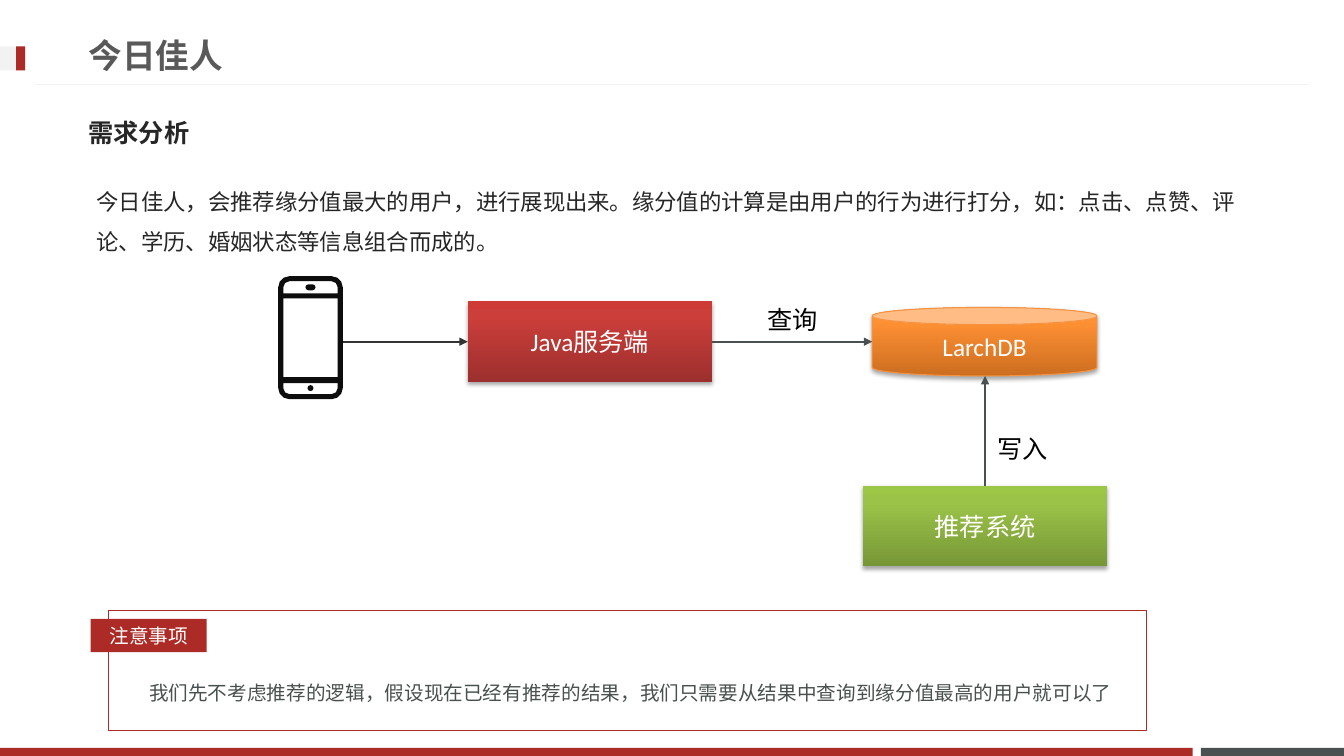
from math import cos, radians, sin
from copy import deepcopy
from lxml.etree import SubElement
from pptx import Presentation
from pptx.dml.color import RGBColor
from pptx.enum.shapes import MSO_CONNECTOR, MSO_SHAPE
from pptx.enum.text import MSO_ANCHOR as Anchor, PP_ALIGN as Align
from pptx.oxml.ns import qn
from pptx.util import Pt

PX = 9144
CJK_FONT = "Noto Sans CJK JP"
RED = RGBColor(0xAD, 0x2B, 0x26)
SLATE = RGBColor(0x49, 0x50, 0x4F)
PALE = RGBColor(0xF2, 0xF2, 0xF2)
GREY = RGBColor(0x59, 0x59, 0x59)
INK = RGBColor(0x26, 0x26, 0x26)
CHARCOAL = RGBColor(0x33, 0x33, 0x33)
NEAR_BLACK = RGBColor(0x0D, 0x0D, 0x0D)
BLACK = RGBColor(0, 0, 0)
WHITE = RGBColor(0xFF, 0xFF, 0xFF)
ORANGE_EDGE = RGBColor(0xF6, 0x92, 0x40)
RED_BLEND = [RGBColor(0x9C, 0x2F, 0x2D), RGBColor(0xCB, 0x3E, 0x3A), RGBColor(0xCE, 0x3B, 0x37)]
ORANGE_BLEND = [RGBColor(0xCC, 0x6E, 0x20), RGBColor(0xFF, 0x90, 0x34), RGBColor(0xFF, 0x91, 0x36)]
GREEN_BLEND = [RGBColor(0x77, 0x97, 0x37), RGBColor(0x9B, 0xC3, 0x48), RGBColor(0x9D, 0xC7, 0x46)]


def emu(*lengths):
    return [round(length * PX) for length in lengths]


def write(shape, text, size, color, font="Calibri", bold=False, align=Align.CENTER,
          anchor=Anchor.MIDDLE, leading=None, right_inset=10):
    frame = shape.text_frame
    frame.word_wrap = True
    frame.vertical_anchor = anchor
    frame.margin_right = right_inset * PX
    paragraph = frame.paragraphs[0]
    paragraph.alignment = align
    if leading:
        paragraph.line_spacing = Pt(leading)
    run = paragraph.add_run()
    run.text = text
    run.font.size = Pt(size)
    run.font.bold = bold
    run.font.color.rgb = color
    run.font.name = font
    east_asian = SubElement(run.font._element, qn("a:ea"))
    east_asian.set("typeface", CJK_FONT)


def text_area(slide, box, text, size, color, **style):
    write(slide.shapes.add_textbox(*emu(*box)), text, size, color, **style)


def block(slide, box, fill=None, edge=None, preset=MSO_SHAPE.RECTANGLE):
    shape = slide.shapes.add_shape(preset, *emu(*box))
    shape.shadow.inherit = False
    if fill is None:
        shape.fill.background()
    else:
        shape.fill.solid()
        shape.fill.fore_color.rgb = fill
    if edge is None:
        shape.line.fill.background()
    else:
        shape.line.color.rgb = edge
        shape.line.width = Pt(0.75)
    return shape


def line(slide, start, end, color, width, arrow=False):
    connector = slide.shapes.add_connector(MSO_CONNECTOR.STRAIGHT, *emu(*start, *end))
    connector.line.color.rgb = color
    connector.line.width = Pt(width)
    if arrow:
        SubElement(connector.line._get_or_add_ln(), qn("a:tailEnd")).set("type", "triangle")
    SubElement(connector._element.spPr, qn("a:effectLst"))
    return connector


def system_node(slide, box, text, blend, edge=None, preset=MSO_SHAPE.RECTANGLE):
    node = block(slide, box, blend[0], edge, preset)
    node.fill.gradient()
    node.fill.gradient_angle = 90
    stop_list = node._element.spPr.find(qn("a:gradFill")).find(qn("a:gsLst"))
    stop_list.append(deepcopy(stop_list[-1]))
    for stop, position, color in zip(node.fill.gradient_stops, (0, 0.8, 1), blend):
        stop.position = position
        stop.color.rgb = color
    effects = node._element.spPr.find(qn("a:effectLst"))
    shadow = SubElement(effects, qn("a:outerShdw"), blurRad="40000", dist="23000",
                        dir="5400000", rotWithShape="0")
    shade = SubElement(shadow, qn("a:srgbClr"), val="000000")
    SubElement(shade, qn("a:alpha"), val="35000")
    write(node, text, 18, WHITE)
    return node


def rounded_outline(left, top, width, height, upper=0, lower=0):
    right, bottom = left + width, top + height
    corners = [(left + upper, top + upper, upper, 180), (right - upper, top + upper, upper, 270),
               (right - lower, bottom - lower, lower, 0), (left + lower, bottom - lower, lower, 90)]
    return [emu(x + radius * cos(radians(start + turn)), y + radius * sin(radians(start + turn)))
            for x, y, radius, start in corners
            for turn in (range(0, 91, 30 if radius > 6 else 45) if radius else (0,))]


def phone(slide, box):
    left, top, width, height = box
    inner_left, inner_width = left + 5, width - 10
    middle = left + width / 2
    outlines = [
        rounded_outline(*box, 11, 11),
        rounded_outline(inner_left, top + 5, inner_width, 12, upper=6),
        rounded_outline(inner_left, top + 22, inner_width, height - 44),
        rounded_outline(inner_left, top + height - 16, inner_width, 11, lower=6),
        rounded_outline(middle - 5, top + 8, 10, 6, 3, 3),
        rounded_outline(middle - 3, top + height - 14, 6, 6, 3, 3),
    ]
    builder = slide.shapes.build_freeform(*outlines[0][0])
    for index, outline in enumerate(outlines):
        if index:
            builder.move_to(*outline[0])
        builder.add_line_segments(outline[1:], close=True)
    icon = builder.convert_to_shape()
    icon.shadow.inherit = False
    icon.fill.solid()
    icon.fill.fore_color.rgb = NEAR_BLACK
    icon.line.fill.background()


def page_frame(slide, box):
    left, top, width, height = box
    bar_top = top + height - 8
    block(slide, (left + width - 142, bar_top, 142, 8), SLATE)
    block(slide, (left, bar_top, width - 150, 8), RED)
    line(slide, (left + width - 35, top + 84), (left + 35, top + 84), PALE, 0.75)
    block(slide, (left, top + 46, 25, 24), PALE)
    block(slide, (left + 16, top + 46, 9, 24), RED)


def introduction(slide, box):
    left, top, width, height = box
    text_area(slide, (left, top, 959, 57), "今日佳人", 24, GREY, font="Roboto", bold=True,
              align=Align.LEFT)
    text_area(slide, (left, top + 77, 1170, 57), "需求分析", 18, INK, font=CJK_FONT, bold=True,
              align=Align.LEFT)
    text_area(slide, (left + 8, top + 143, width - 8, height - 142),
              "今日佳人，会推荐缘分值最大的用户，进行展现出来。缘分值的计算是由用户的行为进行打分，"
              "如：点击、点赞、评论、学历、婚姻状态等信息组合而成的。",
              16, INK, font=CJK_FONT, align=Align.LEFT, anchor=Anchor.TOP, leading=28.6,
              right_inset=27)


def architecture(slide, box):
    left, top, width, height = box
    axis = top + 65
    store_x = left + 701
    phone(slide, (left, top, 64, 122))
    server = system_node(slide, (left + 188, axis - 40, 242, 80), "Java服务端", RED_BLEND)
    system_node(slide, (left + 589, axis - 34, 223, 68), "LarchDB", ORANGE_BLEND,
                ORANGE_EDGE, MSO_SHAPE.CAN)
    recommender = system_node(slide, (left + width - 242, top + height - 80, 242, 80),
                              "推荐系统", GREEN_BLEND)
    request = line(slide, (left + 64, axis), (left + 188, axis), CHARCOAL, 1.5, arrow=True)
    request.end_connect(server, 1)
    store_write = line(slide, (store_x, top + height - 80), (store_x, axis + 34), SLATE, 1.5,
                       arrow=True)
    store_write.begin_connect(recommender, 0)
    query = line(slide, (left + 430, axis), (left + 589, axis), SLATE, 1.5, arrow=True)
    query.begin_connect(server, 3)
    for label, x, y in (("查询", 460, 17), ("写入", 688, 145)):
        text_area(slide, (left + x, top + y, 100, 52), label, 18, BLACK)


def notice(slide, box):
    left, top, width, height = box
    block(slide, box, edge=RED)
    text_area(slide, (left + 30, top + 52, width - 38, 41),
              "我们先不考虑推荐的逻辑，假设现在已经有推荐的结果，我们只需要从结果中查询到缘分值最高的用户就可以了",
              14, SLATE, font="Roboto", align=Align.LEFT, anchor=Anchor.TOP, leading=25.5)
    tag = block(slide, (left - 18, top + 8, 115, 33), RED)
    write(tag, "注意事项", 14, WHITE, font="Roboto")


def main():
    deck = Presentation()
    deck.slide_width, deck.slide_height = emu(1333, 750)
    slide = deck.slides.add_slide(deck.slide_layouts[6])
    page_frame(slide, (0, 0, 1333, 750))
    introduction(slide, (78, 26, 1186, 236))
    architecture(slide, (276, 274, 822, 288))
    notice(slide, (108, 606, 1029, 119))
    deck.save("out.pptx")


if __name__ == "__main__":
    main()
